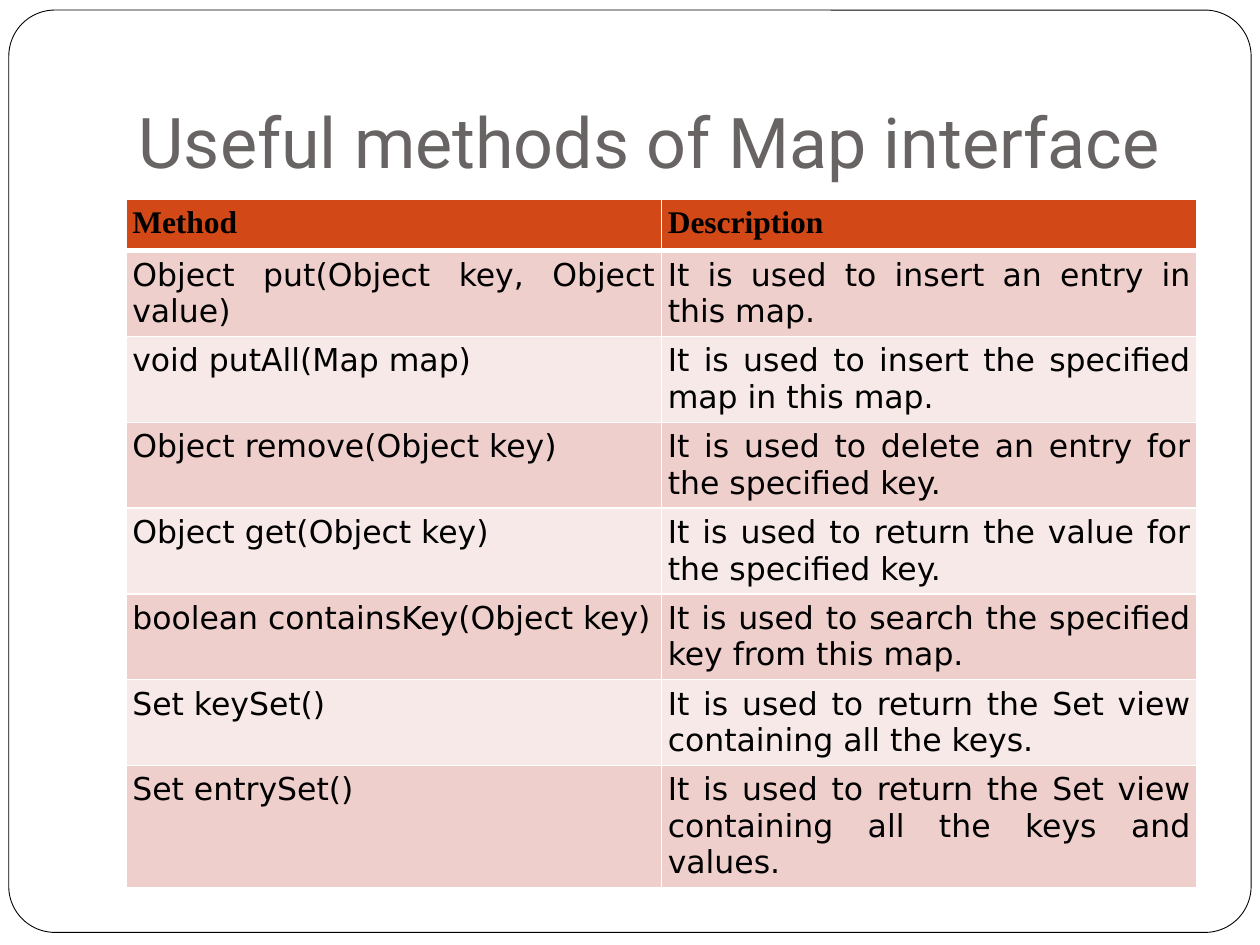
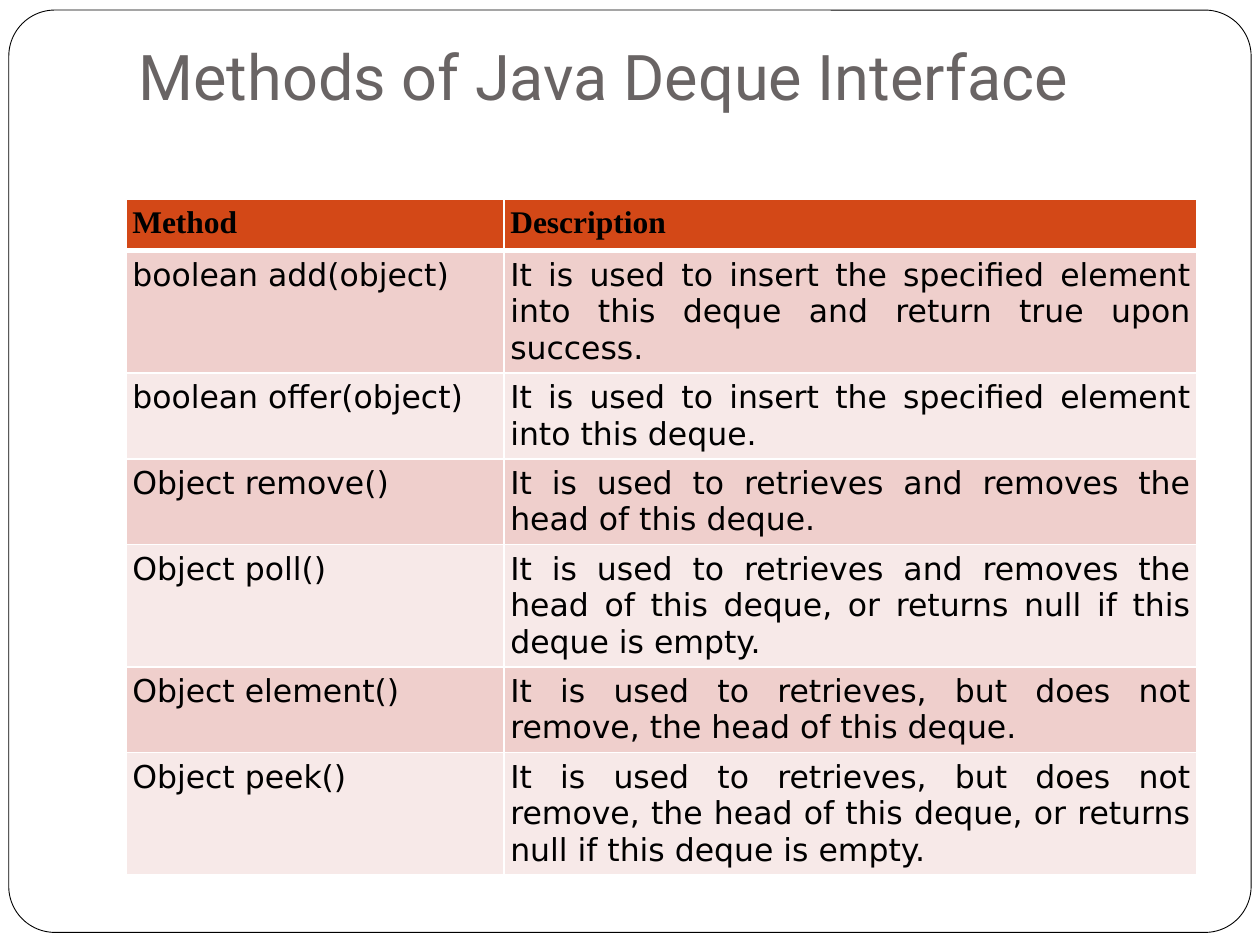
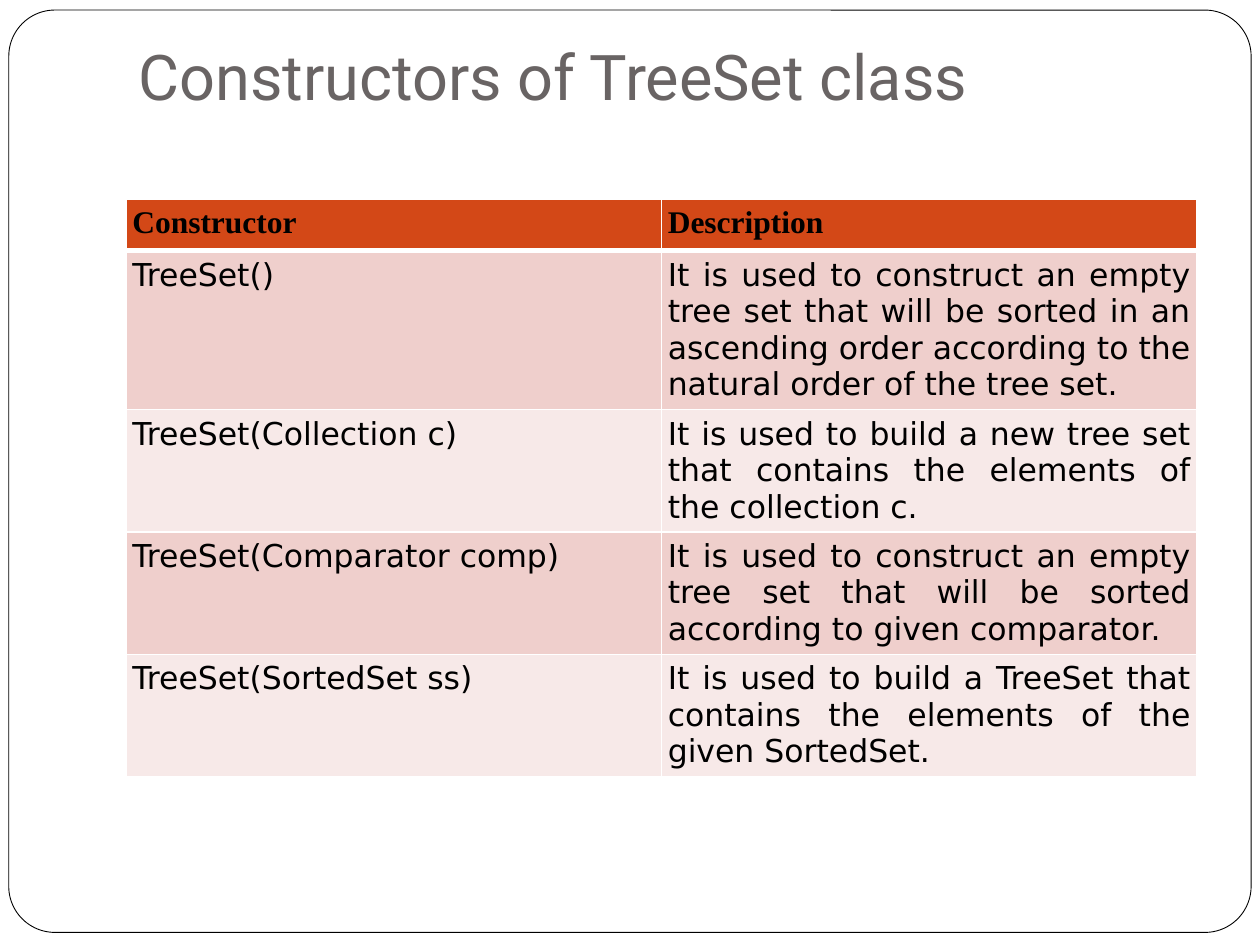
from lxml import etree
from pptx import Presentation
from pptx import util as u
from pptx.dml import color
from pptx.enum import shapes, text
from pptx.oxml import ns

WHITE, BLACK, TITLE_GRAY = "FFFFFF", "000000", "696464"
HEADER_FILL = "D34817"
BAND_FILLS = ("EFCFCC", "F7E9E8")
LEFT, WIDTH = 1, 8.5
ROW_HEIGHT = 0.41
CELL_MARGIN = u.Inches(0.05)
HEADER_FONT = {"name": "Times New Roman", "size": u.Pt(18), "bold": True}
BODY_FONT = {"name": "DejaVu Sans", "size": u.Pt(18), "bold": False}
LOW_TITLE = {"vertical_anchor": text.MSO_ANCHOR.BOTTOM,
             "margin_top": u.Inches(0.05), "margin_bottom": u.Inches(0.1)}
HIGH_TITLE = {"vertical_anchor": text.MSO_ANCHOR.TOP,
              "margin_top": 0, "margin_bottom": 0}

MAP_METHODS = [
    ("Method", "Description"),
    ("Object put(Object key, Object value)", "It is used to insert an entry in this map."),
    ("void putAll(Map map)", "It is used to insert the specified map in this map."),
    ("Object remove(Object key)", "It is used to delete an entry for the specified key."),
    ("Object get(Object key)", "It is used to return the value for the specified key."),
    ("boolean containsKey(Object key)", "It is used to search the specified key from this map."),
    ("Set keySet()", "It is used to return the Set view containing all the keys."),
    ("Set entrySet()", "It is used to return the Set view containing all the keys and values."),
]
DEQUE_METHODS = [
    ("Method", "Description"),
    ("boolean add(object)",
     "It is used to insert the specified element into this deque and return true upon success."),
    ("boolean offer(object)", "It is used to insert the specified element into this deque."),
    ("Object remove()", "It is used to retrieves and removes the head of this deque."),
    ("Object poll()", "It is used to retrieves and removes the head of this deque, "
                      "or returns null if this deque is empty."),
    ("Object element()", "It is used to retrieves, but does not remove, the head of this deque."),
    ("Object peek()", "It is used to retrieves, but does not remove, the head of this deque, "
                      "or returns null if this deque is empty."),
]
TREESET_CONSTRUCTORS = [
    ("Constructor", "Description"),
    ("TreeSet()", "It is used to construct an empty tree set that will be sorted in an "
                  "ascending order according to the natural order of the tree set."),
    ("TreeSet(Collection c)",
     "It is used to build a new tree set that contains the elements of the collection c."),
    ("TreeSet(Comparator comp)",
     "It is used to construct an empty tree set that will be sorted according to given comparator."),
    ("TreeSet(SortedSet ss)",
     "It is used to build a TreeSet that contains the elements of the given SortedSet."),
]


def rgb(hex_code):
    return color.RGBColor.from_string(hex_code)


def set_all(target, values):
    for name, value in values.items():
        setattr(target, name, value)


def add_layout_frame(layout, slide):
    """Draw the rounded page frame and place it behind everything on the layout."""
    frame = slide.shapes.add_shape(
        shapes.MSO_SHAPE.ROUNDED_RECTANGLE,
        *map(u.Inches, (0.07, 0.08, 9.86, 7.32)))
    frame.adjustments[0] = 0.05
    frame.shadow.inherit = False
    frame.fill.solid()
    frame.fill.fore_color.rgb = rgb(WHITE)
    frame.line.color.rgb = rgb(BLACK)
    frame.line.width = u.Pt(0.5)
    layout.shapes.element.insert(2, frame.element)


def write_title(slide, wording, size, placing):
    title = slide.shapes.title
    set_all(title, {"left": u.Inches(LEFT), "top": u.Inches(0.3),
                    "width": u.Inches(WIDTH), "height": u.Inches(1.25)})
    frame = title.text_frame
    set_all(frame, {"text": wording, "word_wrap": True,
                    "auto_size": text.MSO_AUTO_SIZE.NONE, **placing})
    paragraph = frame.paragraphs[0]
    paragraph.alignment = text.PP_ALIGN.LEFT
    set_all(paragraph.font, {"name": "Roboto", "size": u.Pt(size)})
    paragraph.font.color.rgb = rgb(TITLE_GRAY)


def add_borders(cell, top, bottom):
    """Give the cell white borders; top and bottom are widths in points."""
    properties = cell._tc.get_or_add_tcPr()
    for side, width in (("L", 1), ("R", 1), ("T", top), ("B", bottom)):
        border = etree.SubElement(properties, ns.qn(f"a:ln{side}"), w=str(u.Pt(width)))
        fill = etree.SubElement(border, ns.qn("a:solidFill"))
        etree.SubElement(fill, ns.qn("a:srgbClr"), val=WHITE)


def fill_cell(cell, wording, row):
    is_header = row == 0
    set_all(cell, {"text": wording, "margin_left": CELL_MARGIN, "margin_right": CELL_MARGIN,
                   "margin_top": CELL_MARGIN, "margin_bottom": CELL_MARGIN})
    add_borders(cell, top=3 if row == 1 else 1, bottom=3 if is_header else 1)
    cell.fill.solid()
    cell.fill.fore_color.rgb = rgb(HEADER_FILL if is_header else BAND_FILLS[(row - 1) % 2])
    paragraph = cell.text_frame.paragraphs[0]
    paragraph.alignment = text.PP_ALIGN.LEFT if is_header else text.PP_ALIGN.JUSTIFY
    set_all(paragraph.font, HEADER_FONT if is_header else BODY_FONT)
    paragraph.font.color.rgb = rgb(BLACK)


def add_reference_table(slide, entries, name_width):
    table = slide.shapes.add_table(
        len(entries), 2, u.Inches(LEFT), u.Inches(1.58),
        u.Inches(WIDTH), u.Inches(ROW_HEIGHT * len(entries))).table
    for column, width in zip(table.columns, (name_width, WIDTH - name_width)):
        column.width = u.Inches(width)
    for row, entry in enumerate(entries):
        for column, wording in enumerate(entry):
            fill_cell(table.cell(row, column), wording, row)


def main():
    deck = Presentation()
    set_all(deck, {"slide_width": u.Inches(10), "slide_height": u.Inches(7.5)})
    layout = deck.slide_layouts.get_by_name("Title Only")
    pages = [
        ("Useful methods of Map interface", 40, LOW_TITLE, MAP_METHODS, 4.25),
        ("Methods of Java Deque Interface", 36, HIGH_TITLE, DEQUE_METHODS, 3),
        ("Constructors of TreeSet class", 36, HIGH_TITLE, TREESET_CONSTRUCTORS, 4.25),
    ]
    for number, (title, size, placing, entries, name_width) in enumerate(pages):
        slide = deck.slides.add_slide(layout)
        if number == 0:
            add_layout_frame(layout, slide)
        write_title(slide, title, size, placing)
        add_reference_table(slide, entries, name_width)
    deck.save("out.pptx")


if __name__ == "__main__":
    main()
